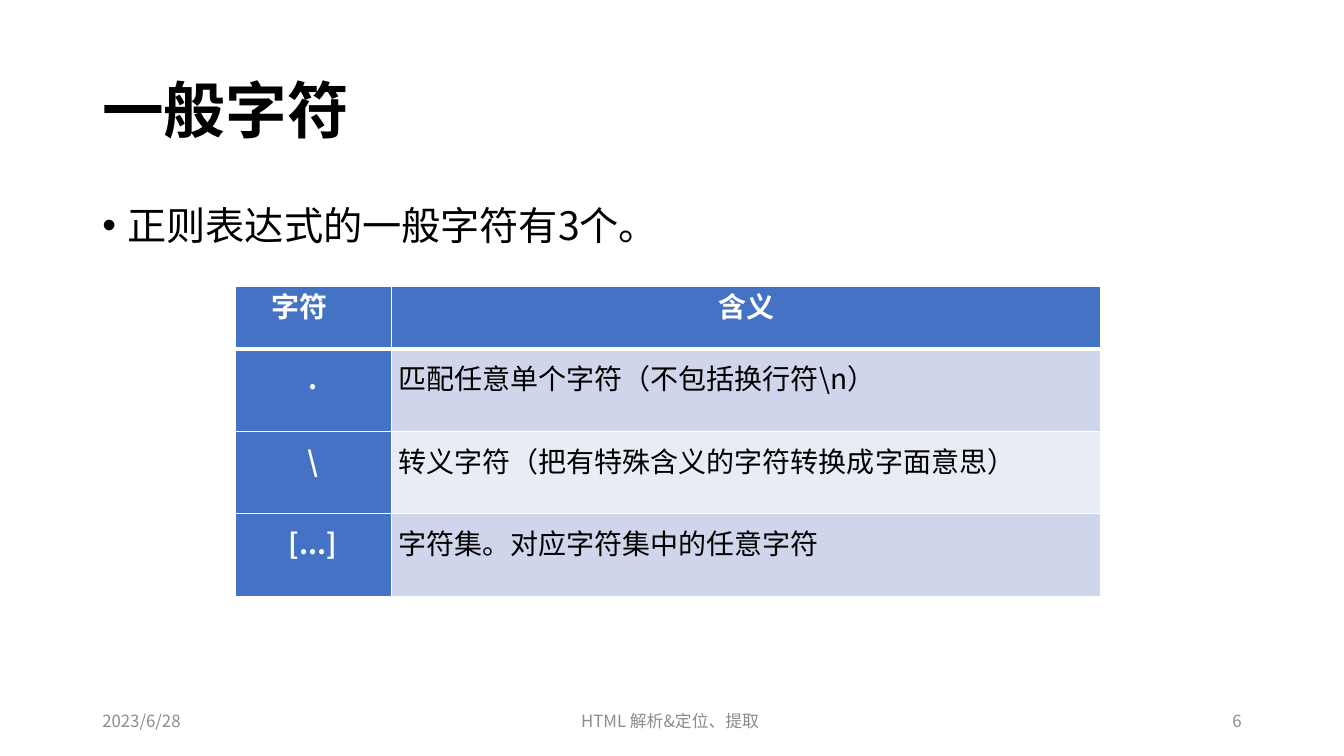
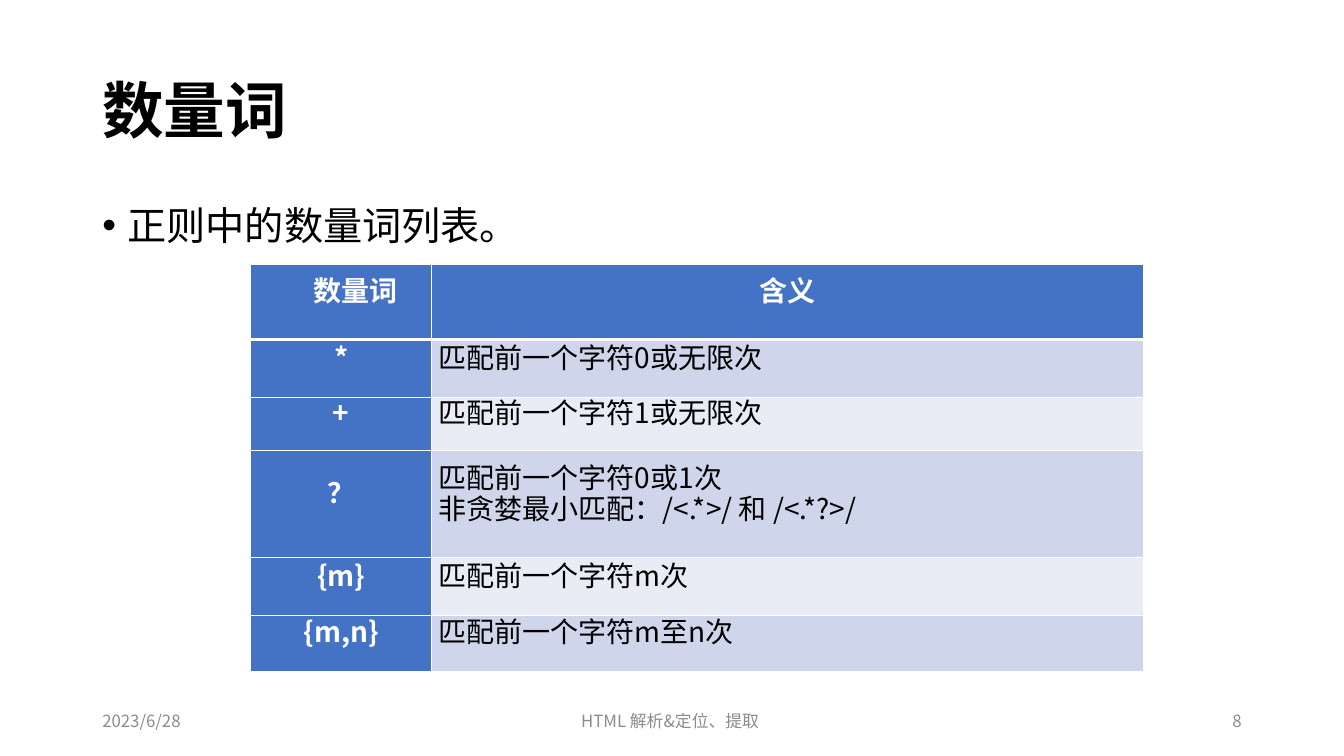
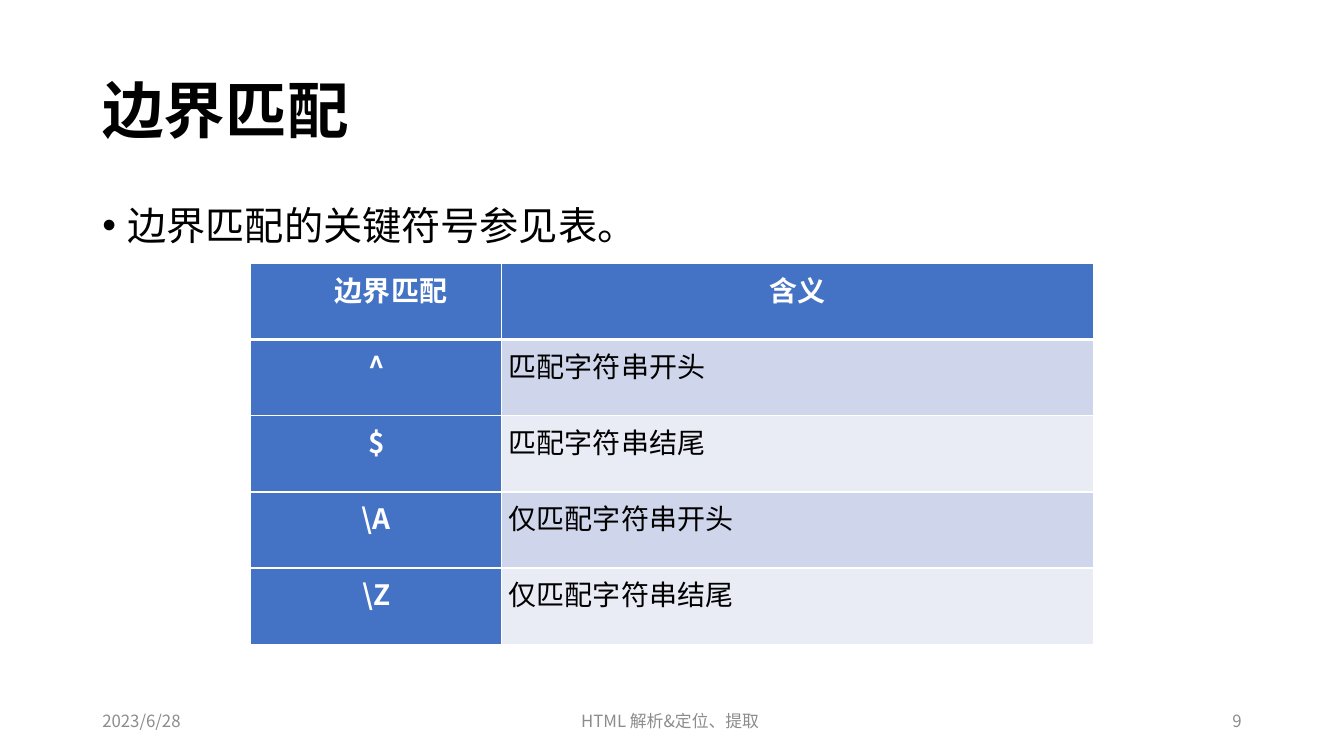
from lxml import etree
from pptx import Presentation
from pptx.dml.color import RGBColor
from pptx.enum.text import MSO_ANCHOR, PP_ALIGN
from pptx.oxml.ns import qn
from pptx.util import Pt

LEFT, CENTER, RIGHT = PP_ALIGN.LEFT, PP_ALIGN.CENTER, PP_ALIGN.RIGHT
TOP, MIDDLE = MSO_ANCHOR.TOP, MSO_ANCHOR.MIDDLE

BLACK = RGBColor(0x00, 0x00, 0x00)
WHITE = RGBColor(0xFF, 0xFF, 0xFF)
GRAY = RGBColor(0x8C, 0x8C, 0x8C)
BLUE = RGBColor(0x44, 0x72, 0xC4)
BANDS = (RGBColor(0xCF, 0xD5, 0xEA), RGBColor(0xE9, 0xEB, 0xF5))

SANS, TITLE_FONT, SERIF = "Noto Sans CJK SC", "Arial", "Times New Roman"

DATE = "2023/6/28"
TOPIC = "HTML 解析&定位、提取 "

# A cell is a list of lines; a line is a list of (text, font) runs or plain text.
SLIDES = [
    {
        "title": "一般字符", "number": "6",
        "lead": "正则表达式的一般字符有3个。",
        "corner": (168, 204.6), "widths": (111.5, 507),
        "heights": (44.5, 59, 59, 59), "head_align": LEFT,
        "rows": [
            ("字符", "含义"),
            (".", "匹配任意单个字符（不包括换行符\\n）"),
            ("\\", "转义字符（把有特殊含义的字符转换成字面意思）"),
            ("[...]", "字符集。对应字符集中的任意字符"),
        ],
    },
    {
        "title": "数量词", "number": "8",
        "lead": "正则中的数量词列表。",
        "corner": (179.2, 188.8), "widths": (129, 509),
        "heights": (53.8, 41.5, 37.8, 76.3, 41.5, 39.8), "head_align": CENTER,
        "rows": [
            ("数量词", "含义"),
            ("*", "匹配前一个字符0或无限次"),
            ("+", "匹配前一个字符1或无限次"),
            ("？", ["匹配前一个字符0或1次",
                   [("非贪婪最小匹配：", SERIF), ("/<.*>/ 和 /<.*?>/", SANS)]]),
            ("{m}", "匹配前一个字符m次"),
            ("{m,n}", "匹配前一个字符m至n次"),
        ],
    },
    {
        "title": "边界匹配", "number": "9",
        "lead": "边界匹配的关键符号参见表。",
        "corner": (179.2, 188.2), "widths": (179.3, 422.6),
        "heights": (54.4,) * 5, "head_align": CENTER,
        "rows": [
            ("边界匹配", "含义"),
            ("^", "匹配字符串开头"),
            ("$", "匹配字符串结尾"),
            ("\\A", "仅匹配字符串开头"),
            ("\\Z", "仅匹配字符串结尾"),
        ],
    },
]

MARGIN, CONTENT_WIDTH = 66, 828
FOOTER_TOP, FOOTER_HEIGHT = 500.5, 28.75
CELL_LINE = Pt(11)
HEAD_INDENT = 21
RULE, HEAD_RULE = 1, 3


def write(frame, text, size=20, font=SANS, color=BLACK, bold=False, align=LEFT,
          spacing=None, before=0, gap=0, margin=0, indent=0, bullet=None):
    """Fill a text frame; gap is the extra space between its lines."""
    lines = [text] if isinstance(text, str) else text
    for number, line in enumerate(lines):
        paragraph = frame.add_paragraph() if number else frame.paragraphs[0]
        paragraph.alignment = align
        paragraph.space_before = Pt(gap if number else before)
        if spacing:
            paragraph.line_spacing = spacing
        properties = paragraph._p.get_or_add_pPr()
        properties.set("marL", str(Pt(margin)))
        properties.set("indent", str(Pt(indent)))
        if bullet:
            etree.SubElement(properties, qn("a:buFont")).set("typeface", TITLE_FONT)
            etree.SubElement(properties, qn("a:buChar")).set("char", bullet)
        for words, face in [(line, font)] if isinstance(line, str) else line:
            run = paragraph.add_run()
            run.text = words
            run.font.size, run.font.bold, run.font.name = Pt(size), bold, face
            run.font.color.rgb = color
            east_asian = etree.SubElement(run._r.get_or_add_rPr(), qn("a:ea"))
            east_asian.set("typeface", SANS)


def add_text(slide, text, left, top, width, height, anchor=MIDDLE, **style):
    """Add a wrapping text box."""
    frame = slide.shapes.add_textbox(Pt(left), Pt(top), Pt(width), Pt(height)).text_frame
    frame.word_wrap = True
    frame.vertical_anchor = anchor
    write(frame, text, **style)


def set_borders(cell, top, bottom):
    """Draw white rules round a cell, placed ahead of its fill."""
    edges = (("a:lnL", RULE), ("a:lnR", RULE), ("a:lnT", top), ("a:lnB", bottom))
    properties = cell._tc.get_or_add_tcPr()
    for position, (edge, weight) in enumerate(edges):
        line = etree.Element(qn(edge), w=str(Pt(weight)))
        fill = etree.SubElement(line, qn("a:solidFill"))
        etree.SubElement(fill, qn("a:srgbClr")).set("val", str(WHITE))
        properties.insert(position, line)


def add_symbol_table(slide, content):
    """Add the table of symbols and their meanings."""
    rows, widths, heights = content["rows"], content["widths"], content["heights"]
    left, top = content["corner"]
    table = slide.shapes.add_table(len(rows), len(widths), Pt(left), Pt(top),
                                   Pt(sum(widths)), Pt(sum(heights))).table
    table.first_col = True
    for column, width in zip(table.columns, widths):
        column.width = Pt(width)
    for r, (row, height) in enumerate(zip(rows, heights)):
        table.rows[r].height = Pt(height)
        for c, text in enumerate(row):
            cell = table.cell(r, c)
            strong = r == 0 or c == 0
            corner = r == 0 and c == 0
            cell.vertical_anchor = MIDDLE
            cell.margin_left = cell.margin_right = Pt(5)
            cell.margin_top = cell.margin_bottom = 0
            cell.fill.solid()
            cell.fill.fore_color.rgb = BLUE if strong else BANDS[(r - 1) % 2]
            set_borders(cell, HEAD_RULE if r == 1 else RULE, HEAD_RULE if r == 0 else RULE)
            align = content["head_align"] if corner else CENTER if strong else LEFT
            write(cell.text_frame, text, color=WHITE if strong else BLACK, bold=strong,
                  align=align, spacing=CELL_LINE, gap=11,
                  indent=HEAD_INDENT if corner else 0)


def add_frame(slide, title, lead, number):
    """Add the title, lead line and footer that every slide has."""
    add_text(slide, title, MARGIN, 28.75, CONTENT_WIDTH, 104.4,
             size=44, font=TITLE_FONT, bold=True, spacing=0.9)
    add_text(slide, lead, MARGIN, 144, CONTENT_WIDTH, 342.6, anchor=TOP, size=28,
             spacing=0.9, before=10, margin=18, indent=-18, bullet="•")
    for text, left, width, align in ((DATE, MARGIN, 216, LEFT),
                                     (TOPIC, 318, 324, CENTER),
                                     (number, 678, 216, RIGHT)):
        add_text(slide, text, left, FOOTER_TOP, width, FOOTER_HEIGHT,
                 size=12, color=GRAY, align=align)


deck = Presentation()
deck.slide_width, deck.slide_height = Pt(960), Pt(540)
blank = deck.slide_layouts[6]
for content in SLIDES:
    page = deck.slides.add_slide(blank)
    add_frame(page, content["title"], content["lead"], content["number"])
    add_symbol_table(page, content)
deck.save("out.pptx")
